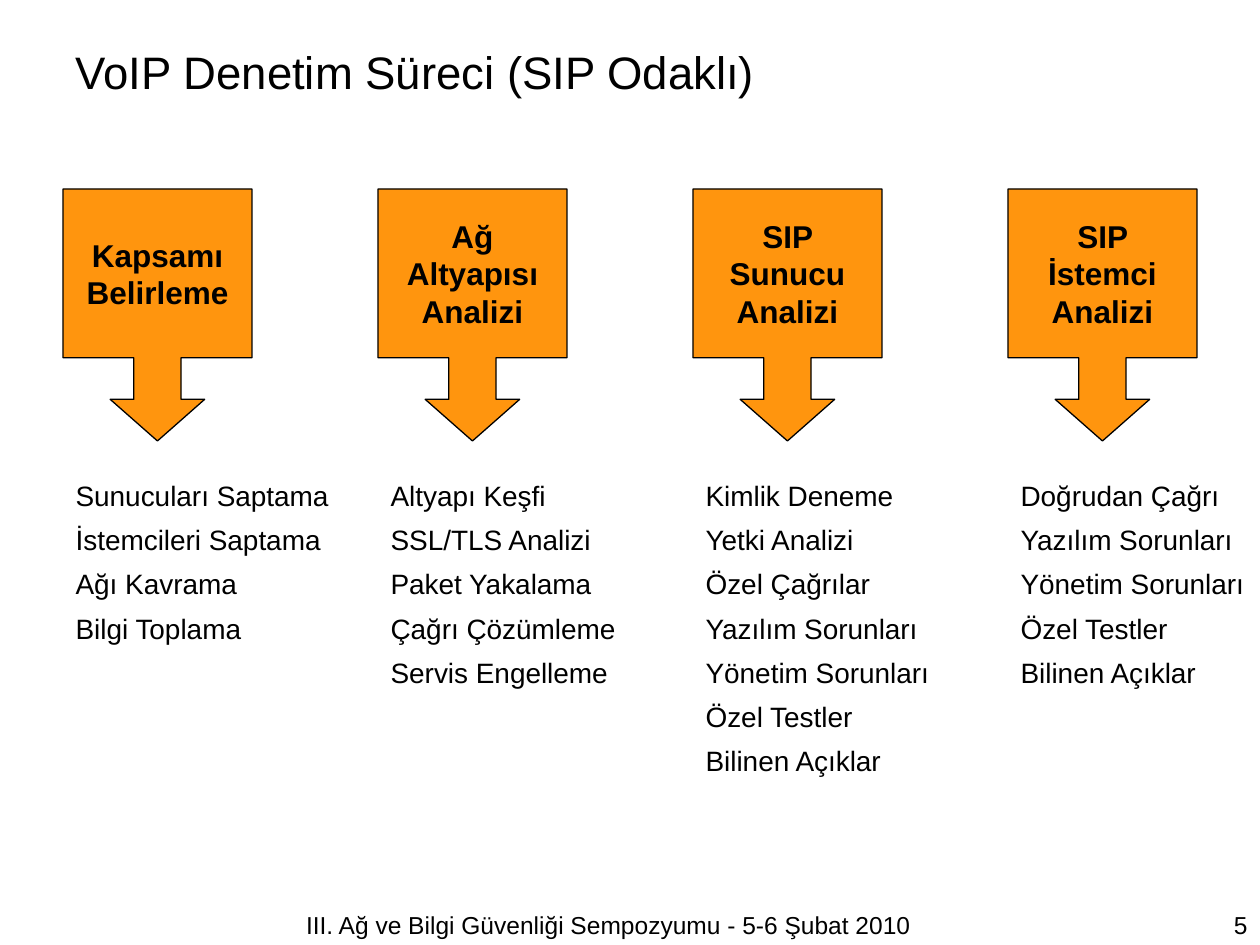
from dataclasses import dataclass

from pptx import Presentation
from pptx.dml.color import RGBColor
from pptx.enum.shapes import MSO_SHAPE
from pptx.enum.text import MSO_ANCHOR as Anchor, MSO_AUTO_SIZE as AutoSize, PP_ALIGN as Align
from pptx.oxml.ns import qn
from pptx.slide import Slide
from pptx.text.text import TextFrame
from pptx.util import Inches, Pt

BLACK = RGBColor(0x00, 0x00, 0x00)
ORANGE = RGBColor(0xFF, 0x95, 0x0E)
FONT = "Arial"
LEFT = 0.5
PITCH = 2.5
ARROW_ADJUSTMENTS = (0.25, 0.25, 0.22, 0.67)


@dataclass(frozen=True)
class Stage:
    heading: tuple[str, ...]
    tasks: tuple[str, ...]
    list_width: float


STAGES = (
    Stage(("Kapsamı", "Belirleme"),
          ("Sunucuları Saptama", "İstemcileri Saptama", "Ağı Kavrama", "Bilgi Toplama"), 2.25),
    Stage(("Ağ Altyapısı", "Analizi"),
          ("Altyapı Keşfi", "SSL/TLS Analizi", "Paket Yakalama", "Çağrı Çözümleme",
           "Servis Engelleme"), 2.25),
    Stage(("SIP Sunucu", "Analizi"),
          ("Kimlik Deneme", "Yetki Analizi", "Özel Çağrılar", "Yazılım Sorunları",
           "Yönetim Sorunları", "Özel Testler", "Bilinen Açıklar"), 2),
    Stage(("SIP İstemci", "Analizi"),
          ("Doğrudan Çağrı", "Yazılım Sorunları", "Yönetim Sorunları", "Özel Testler",
           "Bilinen Açıklar"), 2),
)


def place(sp, left: float, top: float, width: float, height: float) -> None:
    sp.left, sp.top = Inches(left), Inches(top)
    sp.width, sp.height = Inches(width), Inches(height)


def write(tf: TextFrame, lines: tuple[str, ...], size: float, align: Align = Align.LEFT,
          anchor: Anchor = Anchor.TOP, bold: bool = False, gap: float = 0,
          wrap: bool = True) -> None:
    tf.text = "\n".join(lines)
    tf.word_wrap = wrap
    tf.auto_size = AutoSize.NONE
    tf.vertical_anchor = anchor
    for i, p in enumerate(tf.paragraphs):
        p.alignment = align
        p.space_before = Pt(gap if i else 0)
        for r in p.runs:
            r.font.name = FONT
            r.font.size = Pt(size)
            r.font.bold = bold
            r.font.color.rgb = BLACK


def remove_bullets(tf: TextFrame) -> None:
    for p in tf.paragraphs:
        pPr = p._p.get_or_add_pPr()
        pPr.set("marL", "0")
        pPr.set("indent", "0")
        pPr.append(pPr.makeelement(qn("a:buNone"), {}))


def add_callout(s: Slide, left: float, heading: tuple[str, ...]) -> None:
    sp = s.shapes.add_shape(MSO_SHAPE.DOWN_ARROW_CALLOUT, Inches(left), Inches(1.5),
                            Inches(1.5), Inches(2))
    for i, value in enumerate(ARROW_ADJUSTMENTS):
        sp.adjustments[i] = value
    sp.shadow.inherit = False
    sp.fill.solid()
    sp.fill.fore_color.rgb = ORANGE
    sp.line.color.rgb = BLACK
    sp.line.width = Pt(0)
    write(sp.text_frame, heading, 18, Align.CENTER, Anchor.MIDDLE, bold=True)


def fill_list(sp, left: float, stage: Stage) -> None:
    place(sp, left, 3.75, stage.list_width, 2.95)
    write(sp.text_frame, stage.tasks, 16, gap=6)
    remove_bullets(sp.text_frame)


def add_label(s: Slide, left: float, width: float, text: str, align: Align,
              anchor: Anchor = Anchor.TOP, wrap: bool = True) -> None:
    sp = s.shapes.add_textbox(Inches(left), Inches(7.17), Inches(width), Inches(0.34))
    write(sp.text_frame, (text,), 14, align, anchor, wrap=wrap)


def main() -> None:
    prs = Presentation()
    prs.slide_width, prs.slide_height = Inches(10), Inches(7.5)
    s = prs.slides.add_slide(prs.slide_layouts.get_by_name("Comparison"))

    add_label(s, 2.3, 5.06, "III. Ağ ve Bilgi Güvenliği Sempozyumu - 5-6 Şubat 2010",
              Align.CENTER, Anchor.MIDDLE, wrap=False)

    title = s.shapes.title
    place(title, LEFT, 0.3, 6.63, 0.8)
    write(title.text_frame, ("VoIP Denetim Süreci (SIP Odaklı)",), 26)

    for i, stage in enumerate(STAGES):
        left = LEFT + i * PITCH
        add_callout(s, left, stage.heading)
        fill_list(s.placeholders[i + 1], left, stage)

    add_label(s, 7.17, 2.83, "5", Align.RIGHT)
    prs.save("out.pptx")


if __name__ == "__main__":
    main()
